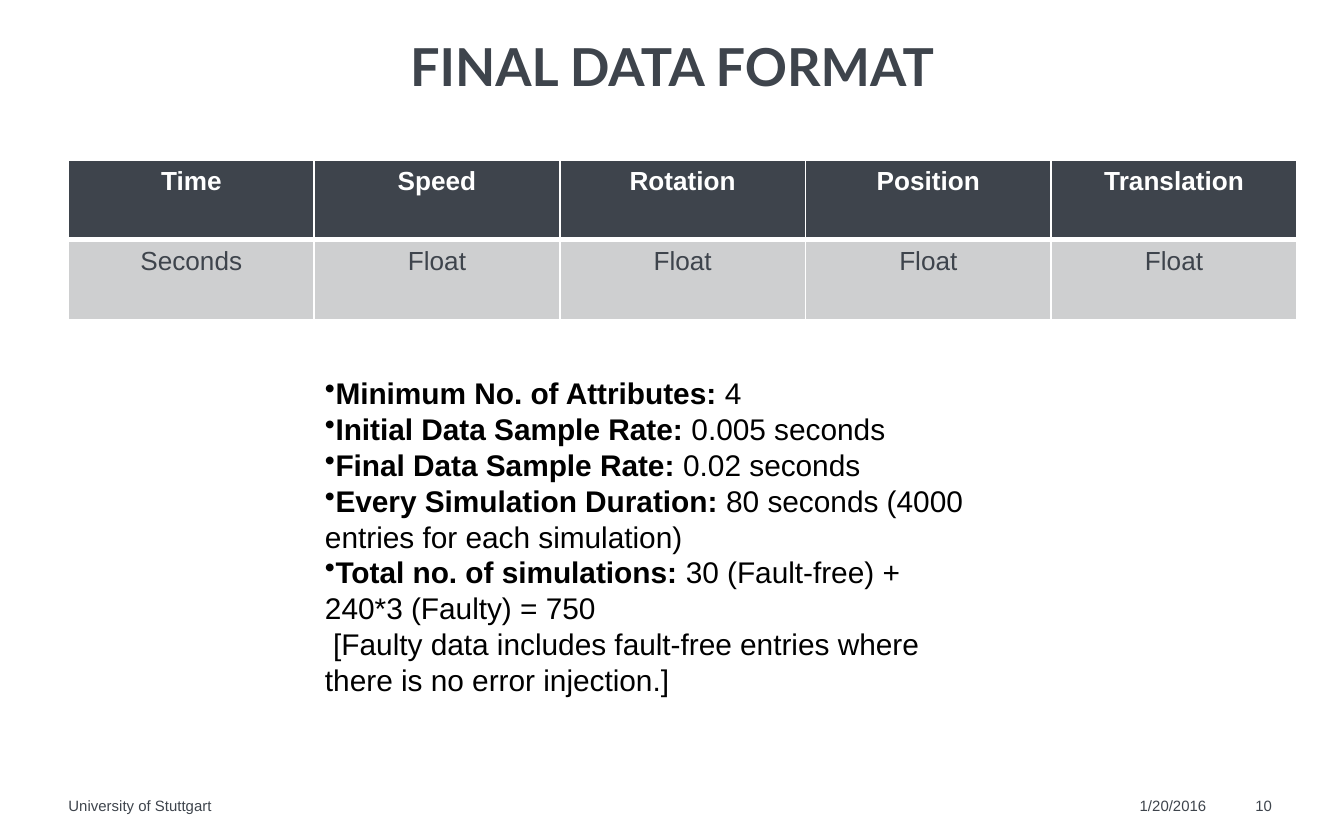
from dataclasses import dataclass

from lxml.etree import SubElement
from pptx import Presentation
from pptx.dml.color import RGBColor
from pptx.enum.text import MSO_ANCHOR as Anchor, PP_ALIGN as Align
from pptx.oxml.ns import qn
from pptx.util import Inches, Pt


@dataclass(frozen=True)
class Theme:
    """Colours, fonts and type sizes of the slide."""
    slate: str = "3E444C"
    grey: str = "CECFD0"
    white: str = "FFFFFF"
    black: str = "000000"
    heading_font: str = "Lato"
    body_font: str = "Arial"
    title_size: int = 28
    facts_size: int = 16
    table_size: int = 14
    footer_size: int = 8


THEME = Theme()
COLUMNS = [
    ("Time", "Seconds"),
    ("Speed", "Float"),
    ("Rotation", "Float"),
    ("Position", "Float"),
    ("Translation", "Float"),
]
FACTS = [
    ("Minimum No. of Attributes:", " 4"),
    ("Initial Data Sample Rate:", " 0.005 seconds"),
    ("Final Data Sample Rate:", " 0.02 seconds"),
    ("Every Simulation Duration:", " 80 seconds (4000 entries for each simulation)"),
    ("Total no. of simulations:", " 30 (Fault-free) + 240*3 (Faulty) = 750"),
]
REMARK = " [Faulty data includes fault-free entries where there is no error injection.]"
FOOTERS = [
    ("University of Stuttgart", 0.51, 6.63),
    ("1/20/2016", 8.48, 0.58),
    ("10", 9.34, 0.24),
]


def style(paragraph, size, color, bold=None, name=THEME.body_font):
    """Set the font of a whole paragraph."""
    font = paragraph.font
    font.name, font.size, font.bold = name, Pt(size), bold
    font.color.rgb = RGBColor.from_string(color)


def add_box(page, left, top, width, height, margin=None):
    """Add a wrapping text box and return its text frame."""
    box = page.shapes.add_textbox(*map(Inches, (left, top, width, height)))
    frame = box.text_frame
    frame.word_wrap = True
    if margin is not None:
        frame.margin_left = frame.margin_right = Inches(margin)
        frame.margin_top = frame.margin_bottom = Inches(margin)
    return frame


def add_title(page, text):
    """Add the centred slide title."""
    frame = add_box(page, 0.51, 0.43, 8.98, 0.3, margin=0)
    frame.vertical_anchor = Anchor.BOTTOM
    para = frame.paragraphs[0]
    para.text, para.alignment, para.line_spacing = text, Align.CENTER, 0.9
    style(para, THEME.title_size, THEME.slate, True, THEME.heading_font)


def add_footer(page, text, left, width):
    """Add one item of the footer line."""
    para = add_box(page, left, 5.93, width, 0.14, margin=0).paragraphs[0]
    para.text = text
    style(para, THEME.footer_size, THEME.slate)


def set_borders(cell, widths):
    """Draw white borders, given as point widths by side letter."""
    properties = cell._tc.get_or_add_tcPr()
    for index, (side, width) in enumerate(widths.items()):
        line = SubElement(properties, qn(f"a:ln{side}"), w=str(Pt(width)))
        fill = SubElement(line, qn("a:solidFill"))
        SubElement(fill, qn("a:srgbClr"), val=THEME.white)
        properties.insert(index, line)


def fill_cell(cell, text, header):
    """Write and style one header or body cell."""
    cell.fill.solid()
    cell.fill.fore_color.rgb = RGBColor.from_string(THEME.slate if header else THEME.grey)
    para = cell.text_frame.paragraphs[0]
    para.text, para.alignment = text, Align.CENTER
    style(para, THEME.table_size, THEME.white if header else THEME.slate, header)
    top, bottom = (1, 3) if header else (3, 1)
    set_borders(cell, {"L": 1, "R": 1, "T": top, "B": bottom})


def add_format_table(page):
    """Add the table of data columns and their types."""
    place = map(Inches, (0.51, 1.19, 9.14, 1.19))
    table = page.shapes.add_table(2, len(COLUMNS), *place).table
    for column, texts in enumerate(COLUMNS):
        for row, text in enumerate(texts):
            fill_cell(table.cell(row, column), text, header=row == 0)


def add_bullet(para):
    """Give a paragraph a bullet without indent."""
    SubElement(para._p.get_or_add_pPr(), qn("a:buChar"), char="•")


def add_facts(page):
    """Add the bulleted facts and the closing remark."""
    frame = add_box(page, 2.32, 2.74, 5, 2.52)
    for index, (label, value) in enumerate(FACTS):
        para = frame.add_paragraph() if index else frame.paragraphs[0]
        style(para, THEME.facts_size, THEME.black)
        add_bullet(para)
        for text, bold in ((label, True), (value, False)):
            span = para.add_run()
            span.text, span.font.bold = text, bold
    para = frame.add_paragraph()
    para.text = REMARK
    style(para, THEME.facts_size, THEME.black)


def main():
    """Build the slide and save it."""
    deck = Presentation()
    deck.slide_width, deck.slide_height = Inches(10), Inches(6.25)
    page = deck.slides.add_slide(deck.slide_layouts[6])
    for text, left, width in FOOTERS:
        add_footer(page, text, left, width)
    add_title(page, "FINAL DATA FORMAT")
    add_format_table(page)
    add_facts(page)
    deck.save("out.pptx")


if __name__ == "__main__":
    main()
